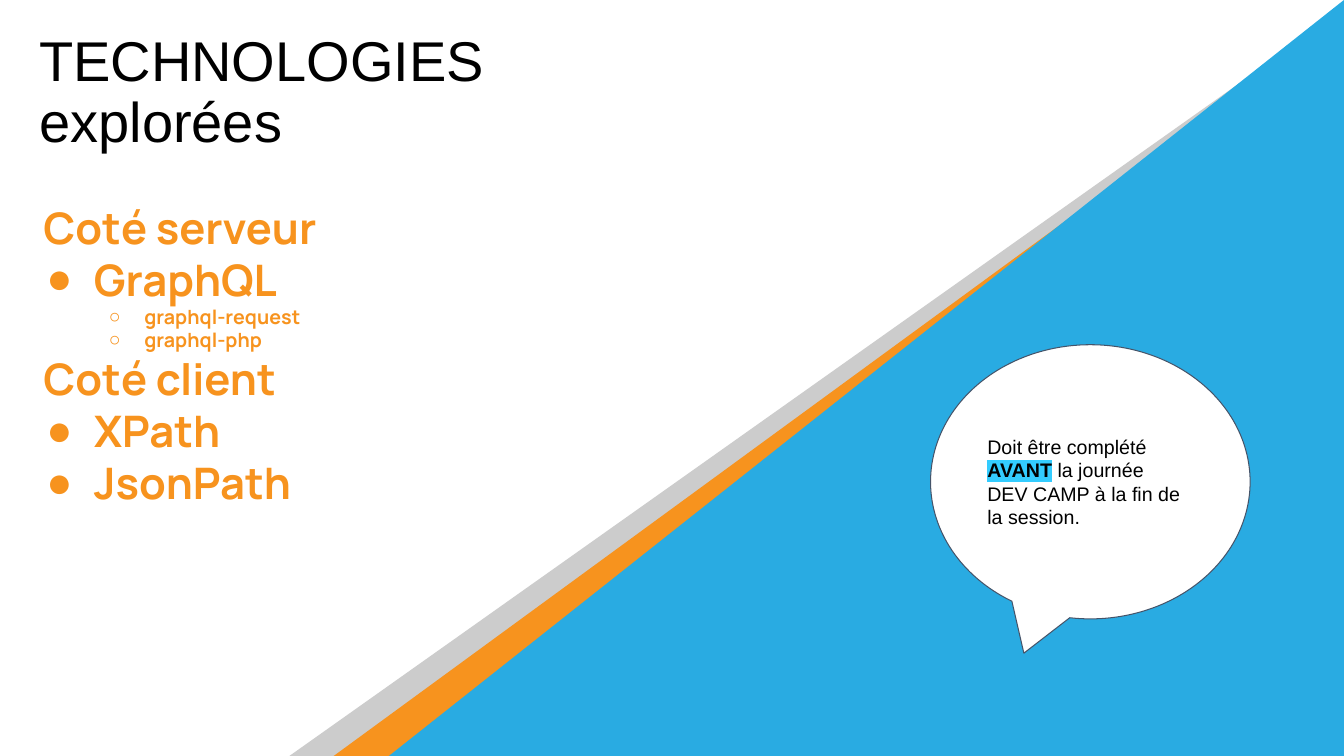
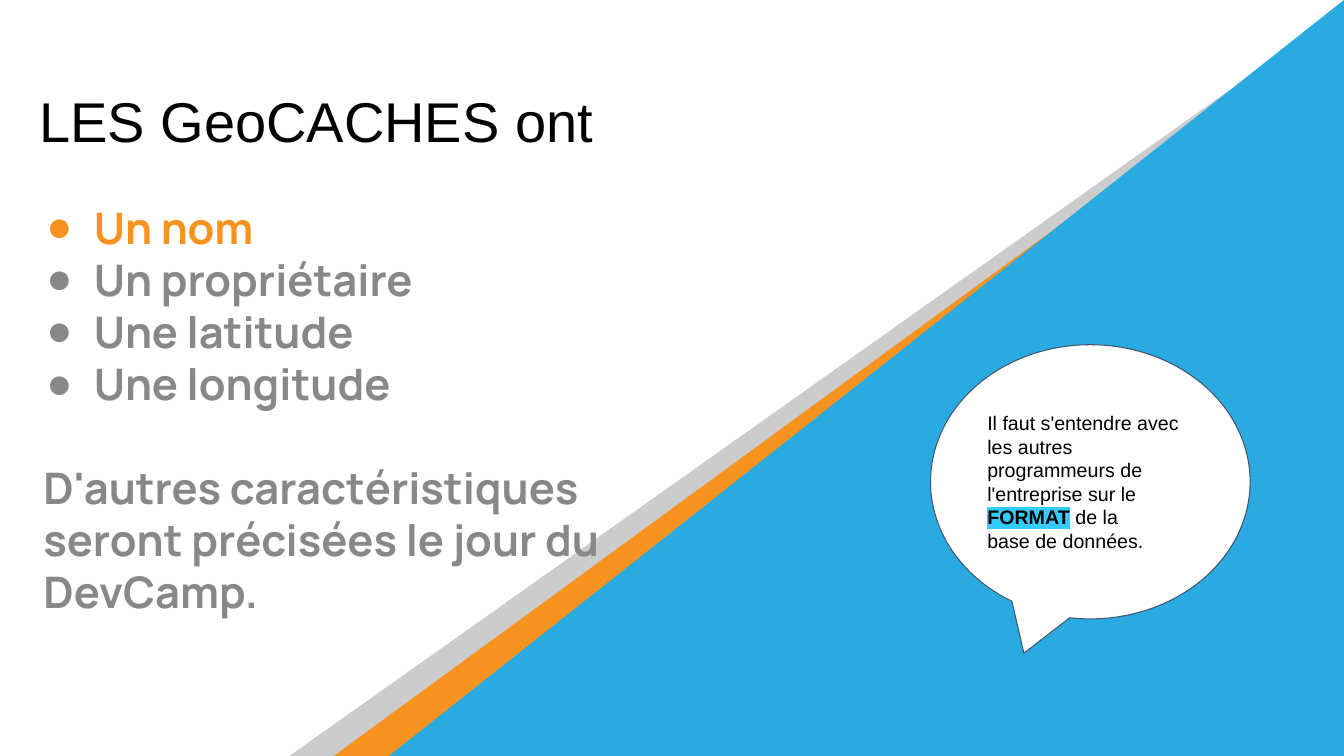
import pptx
import pptx.util
import pptx.dml.color
import pptx.enum.shapes
import pptx.enum.text
import pptx.oxml
import pptx.oxml.ns
import lxml.etree

Pt, Inches = pptx.util.Pt, pptx.util.Inches
Form = pptx.enum.shapes.MSO_SHAPE
Align = pptx.enum.text.PP_ALIGN
Anchor = pptx.enum.text.MSO_ANCHOR
Fit = pptx.enum.text.MSO_AUTO_SIZE
qn = pptx.oxml.ns.qn

BLACK, WHITE, SLATE = "000000", "FFFFFF", "44546A"
GREY, ORANGE, BLUE = "CCCCCC", "F7931E", "29ABE2"
DIM, GLOW = "888888", "33CCFF"


def hue(code):
    return pptx.dml.color.RGBColor.from_string(code)


def say(para, text, size, face, tint, bold=False):
    run = para.add_run()
    run.text = text
    run.font.size = Pt(size)
    run.font.name = face
    run.font.bold = bold
    run.font.color.rgb = hue(tint)
    return run


deck = pptx.Presentation()
deck.slide_width, deck.slide_height = Inches(13.33), Inches(7.5)

# Left, top, width and height in percent of the slide
shares = {
    "title": (2.18, 12, 44.11, 9.73),
    "body": (2.48, 25.87, 46.89, 60),
    "bubble": (69.24, 45.6, 23.78, 36.27),
    GREY: (21.53, 3.47, 76.67, 96.53),
    ORANGE: (24.83, 3.47, 74.27, 96.53),
    BLUE: (28.94, 0, 71.06, 100),
}
sides = (deck.slide_width, deck.slide_height) * 2
zones = {
    name: [int(side * part / 100) for side, part in zip(sides, parts)]
    for name, parts in shares.items()
}

# Kind of line: size, level, left margin, indent, bullet
kinds = {
    "head": (31, 0, 0, 0, None),
    "item": (31, 0, 0.5, -0.47, "●"),
    "sub": (14, 1, 1, -0.35, "○"),
}

# Body line: kind, text, colour, space before in points
# Bubble: text before, marked word, lines after
pages = [
    {
        "title": "TECHNOLOGIES explorées",
        "align": Align.JUSTIFY,
        "lines": [
            ("head", "Coté serveur", ORANGE, 0),
            ("item", "GraphQL", ORANGE, 0),
            ("sub", "graphql-request", ORANGE, 0),
            ("sub", "graphql-php", ORANGE, 0),
            ("head", "Coté client", ORANGE, 0),
            ("item", "XPath", ORANGE, 0),
            ("item", "JsonPath", ORANGE, 0),
        ],
        "bubble": ("Doit être complété ", "AVANT",
                   (" la journée ", "DEV CAMP à la fin de la session.")),
    },
    {
        "title": "LES GeoCACHES ont",
        "align": Align.LEFT,
        "lines": [
            ("item", "Un nom", ORANGE, 0),
            ("item", "Un propriétaire", DIM, 0),
            ("item", "Une latitude", DIM, 0),
            ("item", "Une longitude", DIM, 0),
            ("head", "D'autres caractéristiques seront précisées "
                     "le jour du DevCamp.", DIM, 37),
        ],
        "bubble": ("Il faut s'entendre avec les autres programmeurs "
                   "de l'entreprise sur le ", "FORMAT",
                   (" de la ", "base de données.")),
    },
]

for page in pages:
    slide = deck.slides.add_slide(deck.slide_layouts[1])
    title, body = slide.placeholders

    # Slanted bands
    for tint in (GREY, ORANGE, BLUE):
        band = slide.shapes.add_shape(Form.RIGHT_TRIANGLE, *zones[tint])
        band.shadow.inherit = False
        band.fill.solid()
        band.fill.fore_color.rgb = hue(tint)
        band.line.fill.background()
        band._element.spPr.find(qn("a:xfrm")).set("flipH", "1")

    # Speech bubble
    bubble = slide.shapes.add_shape(Form.OVAL_CALLOUT, *zones["bubble"])
    bubble.adjustments[0], bubble.adjustments[1] = -0.208, 0.625
    bubble.shadow.inherit = False
    bubble.fill.solid()
    bubble.fill.fore_color.rgb = hue(WHITE)
    bubble.line.color.rgb = hue(SLATE)
    bubble.line.width = Pt(0.75)

    # Frames
    slide.shapes._spTree.append(body._element)
    for name, shape, anchor, edge in (
        ("title", title, Anchor.BOTTOM, 0.1),
        ("body", body, Anchor.TOP, 0.05),
        ("bubble", bubble, Anchor.MIDDLE, 0.1),
    ):
        shape.left, shape.top, shape.width, shape.height = zones[name]
        frame = shape.text_frame
        frame.word_wrap = True
        frame.auto_size = Fit.NONE
        frame.vertical_anchor = anchor
        frame.margin_left = frame.margin_right = Inches(0.1)
        frame.margin_top = frame.margin_bottom = Inches(edge)

    # Title
    para = title.text_frame.paragraphs[0]
    para.alignment = Align.LEFT
    para.line_spacing = 0.9
    say(para, page["title"], 40, "Arial", BLACK)

    # List
    for rank, (kind, text, tint, gap) in enumerate(page["lines"]):
        size, level, left, indent, mark = kinds[kind]
        frame = body.text_frame
        para = frame.add_paragraph() if rank else frame.paragraphs[0]
        para.alignment = page["align"]
        para.level = level
        para.space_before = Pt(gap)
        props = para._p.get_or_add_pPr()
        props.set("marL", str(Inches(left)))
        props.set("indent", str(Inches(indent)))
        if mark:
            shade = lxml.etree.SubElement(props, qn("a:buClr"))
            lxml.etree.SubElement(shade, qn("a:srgbClr")).set("val", tint)
            lxml.etree.SubElement(props, qn("a:buChar")).set("char", mark)
        else:
            lxml.etree.SubElement(props, qn("a:buNone"))
        say(para, text, size, "Manrope", tint, True)

    # Bubble text
    lead, word, (rest, last) = page["bubble"]
    para = bubble.text_frame.paragraphs[0]
    para.alignment = Align.LEFT
    say(para, lead, 14, "Arial", BLACK)
    run = say(para, word, 14, "Arial", BLACK, True)
    glow = pptx.oxml.parse_xml(
        f'<a:highlight {pptx.oxml.ns.nsdecls("a")}>'
        f'<a:srgbClr val="{GLOW}"/></a:highlight>')
    run._r.rPr.find(qn("a:solidFill")).addnext(glow)
    say(para, rest, 14, "Arial", BLACK)
    para.add_line_break()
    say(para, last, 14, "Arial", BLACK)

deck.save("out.pptx")
